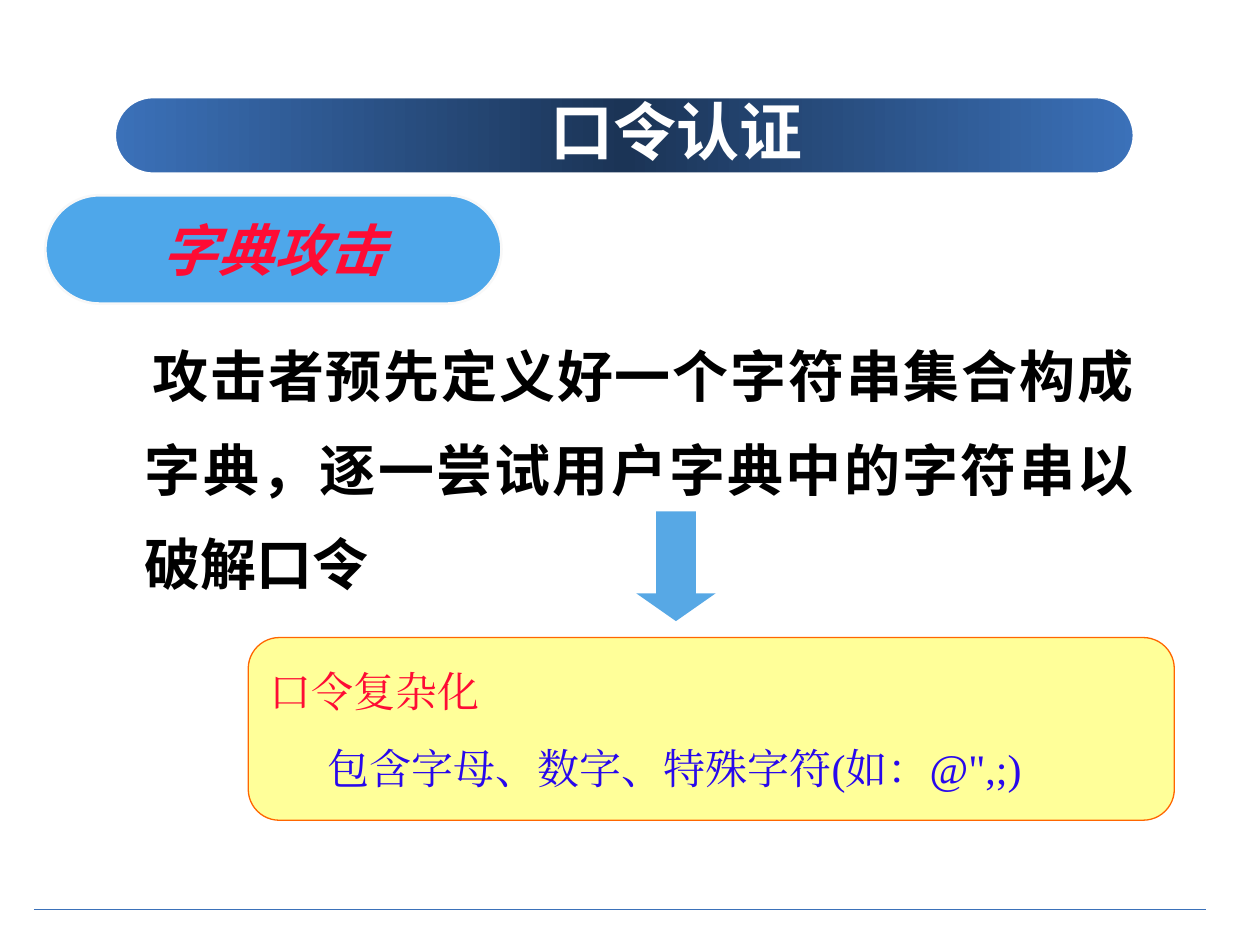
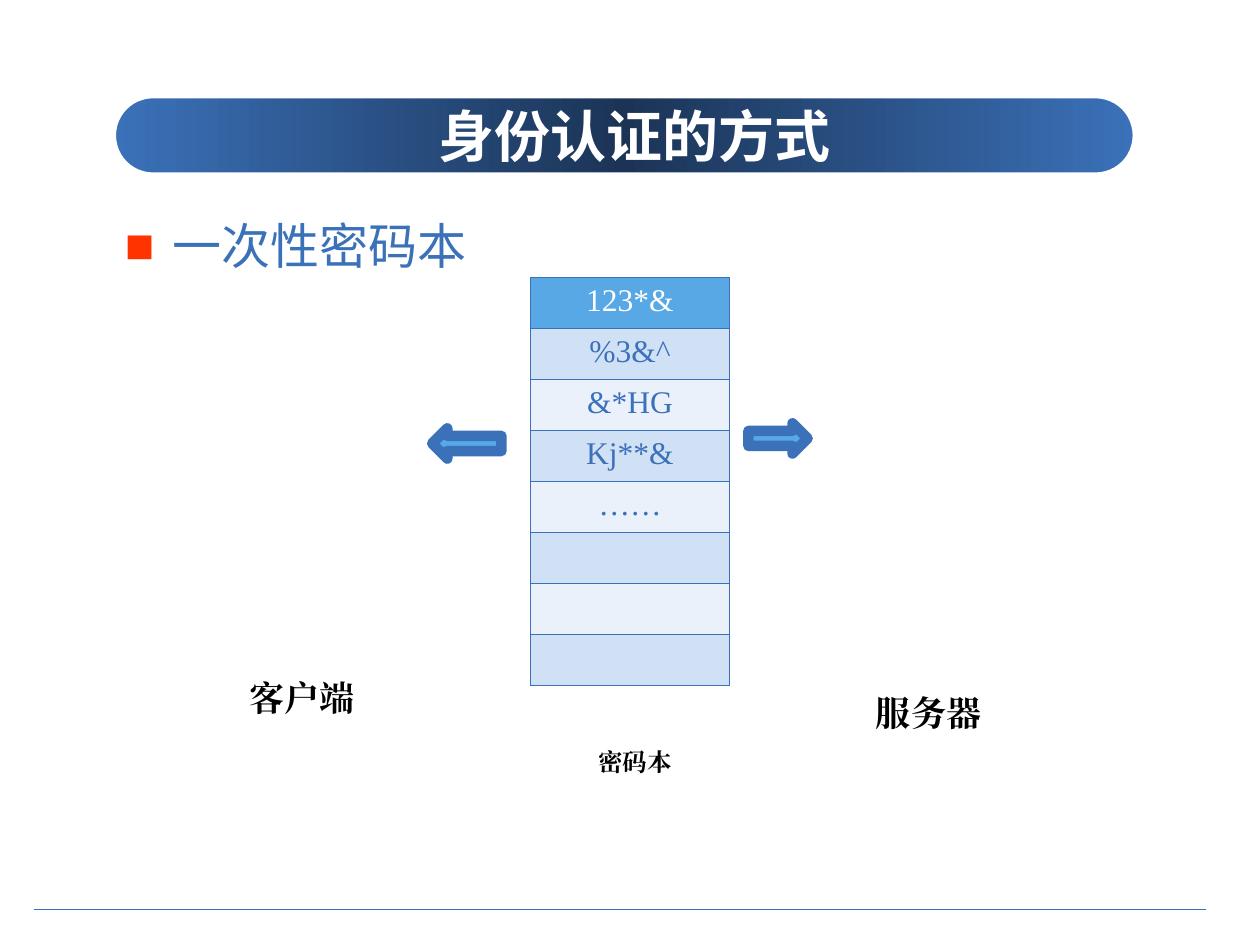
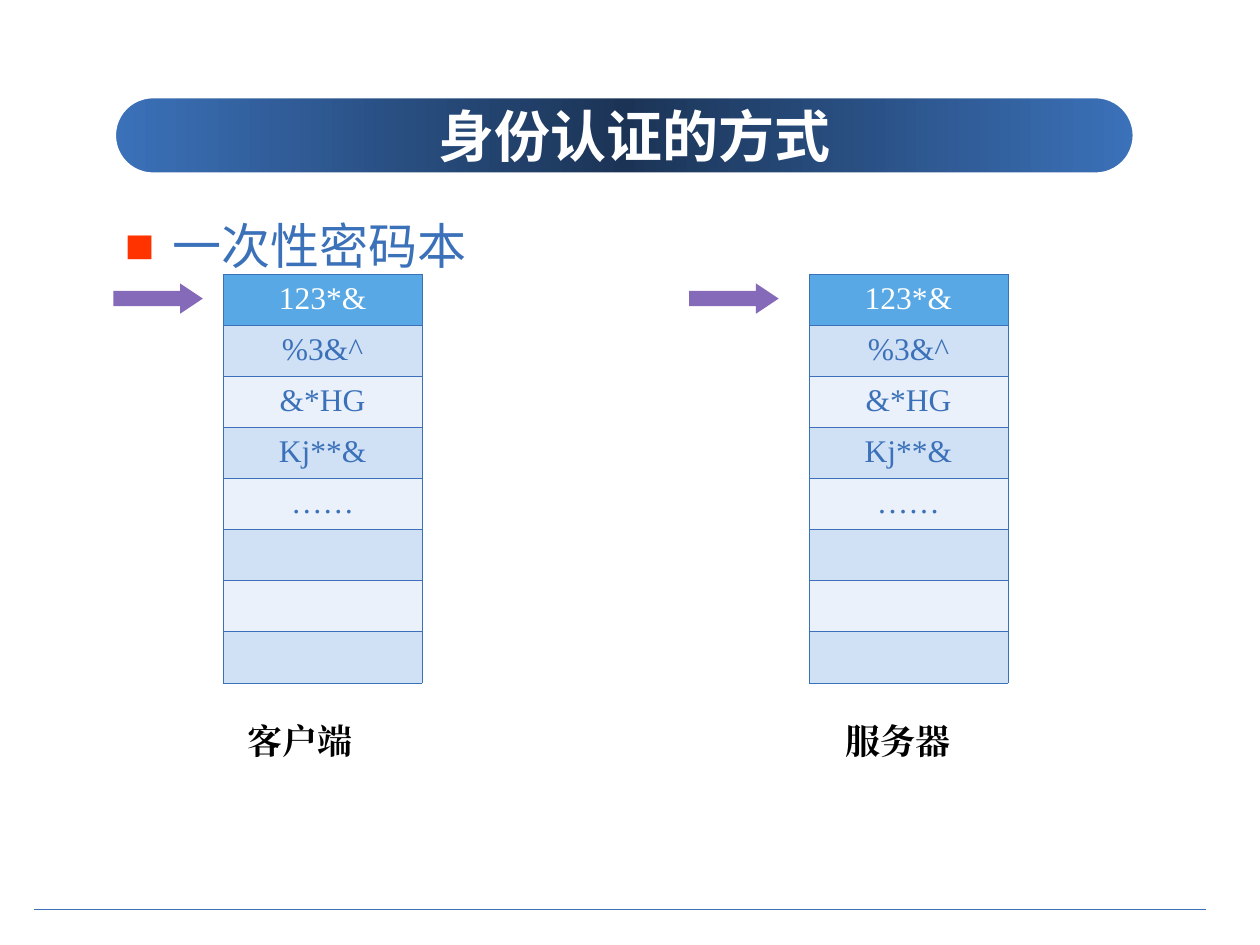
import copy

import lxml.etree
import pptx
import pptx.dml.color
import pptx.enum.shapes
import pptx.enum.text
import pptx.oxml.ns
import pptx.util

MSO = pptx.enum.shapes.MSO_SHAPE
ALIGN = pptx.enum.text.PP_ALIGN
ANCHOR = pptx.enum.text.MSO_ANCHOR
Pt = pptx.util.Pt
qn = pptx.oxml.ns.qn
rgb = pptx.dml.color.RGBColor.from_string

BLUE, NAVY, SKY, RED = "3B71B9", "1B3456", "57A8E5", "FE0C34"
WHITE, BLACK, PURPLE = "FFFFFF", "000000", "846AB8"
STRIPES = ["D1E1F5", "EAF1FA"]
SERIF, SANS = "Times New Roman", "Noto Sans CJK SC"
COLUMNS, ROWS = 100, 75
PASSWORDS = ["123*&", "%3&^", "&*HG", "Kj**&", "……", "", "", ""]

prs = pptx.Presentation()
prs.slide_width, prs.slide_height = pptx.util.Inches(10), pptx.util.Inches(7.5)


def grid(*lengths):
    """Turn x, y, width, height in grid units into EMU."""
    units = [prs.slide_width / COLUMNS, prs.slide_height / ROWS] * 2
    return [pptx.util.Emu(round(n * unit)) for n, unit in zip(lengths, units)]


def write(p, text, size, font, color, bold=False, italic=False, align=ALIGN.CENTER):
    """Fill a paragraph with one run, using the font for Latin and Chinese."""
    p.text = text
    p.alignment = align
    for r in p.runs:
        r.font.size, r.font.name = Pt(size), font
        r.font.bold, r.font.italic = bold, italic
        r.font.color.rgb = rgb(color)
        ea = lxml.etree.Element(qn("a:ea"), typeface=font)
        r.font._element.find(qn("a:latin")).addnext(ea)


# Slides with their titles
titles = [
    ("口令认证", 36, SANS, (14.1, 7.6, 79.2, 5.5)),
    ("身份认证的方式", 32, "DejaVu Sans", (9.8, 8.4, 81.1, 4.7)),
    ("身份认证的方式", 32, "DejaVu Sans", (9.8, 8.4, 81.1, 4.7)),
]
slides = []
for text, size, font, box in titles:
    s = prs.slides.add_slide(prs.slide_layouts[1])
    sp = s.shapes.title
    sp.left, sp.top, sp.width, sp.height = grid(*box)
    sp.text_frame.auto_size = pptx.enum.text.MSO_AUTO_SIZE.NONE
    sp.text_frame.vertical_anchor = ANCHOR.MIDDLE
    write(sp.text_frame.paragraphs[0], text, size, font, WHITE, bold=True)
    slides.append(s)
attack, book, pair = slides

# Title band and footer line, moved to the master
band = attack.shapes.add_shape(MSO.ROUNDED_RECTANGLE, *grid(9, 7.6, 81.1, 6.3))
band.adjustments[0] = 0.5
band.shadow.inherit = False
band.line.color.rgb, band.line.width = rgb(WHITE), Pt(3)
band.fill.gradient()
band.fill.gradient_angle = 0
stops = band.element.find(".//" + qn("a:gsLst"))
stops.append(copy.deepcopy(stops[0]))
for stop, position, color in zip(band.fill.gradient_stops, (0, 0.5, 1), (BLUE, NAVY, BLUE)):
    stop.position, stop.color.rgb = position, rgb(color)

footer = attack.shapes.add_connector(
    pptx.enum.shapes.MSO_CONNECTOR.STRAIGHT, *grid(2.7, 72.2, 95.7, 72.2))
footer.line.color.rgb, footer.line.width = rgb(BLUE), Pt(0.75)
lxml.etree.SubElement(footer.element.spPr, qn("a:effectLst"))

master_tree = prs.slide_master.element.cSld.spTree
for n, sp in enumerate([band, footer]):
    sp.element.find(".//" + qn("p:cNvPr")).set("id", str(100 + n))
    master_tree.insert(2 + n, sp.element)

# Body placeholders: text, size, colour, bold, line pitch, box, left margin, first line, bullet
definition = "攻击者预先定义好一个字符串集合构成字典，逐一尝试用户字典中的字符串以破解口令"
heading = ("一次性密码本", 28, BLUE, False, 50.4, (8.9, 13.9, 85.1, 8), 0.38, -0.38, "■")
bodies = [
    (definition, 32, BLACK, True, 53.7, (6.7, 24.1, 84.3, 25.2), 0.38, 0.06, None),
    heading,
    heading,
]
for s, (text, size, color, bold, pitch, box, margin, first, bullet) in zip(slides, bodies):
    sp = s.placeholders[1]
    sp.left, sp.top, sp.width, sp.height = grid(*box)
    tf = sp.text_frame
    tf.auto_size = pptx.enum.text.MSO_AUTO_SIZE.NONE
    tf.margin_top = pptx.util.Inches(0.09)
    p = tf.paragraphs[0]
    pPr = p._p.get_or_add_pPr()
    pPr.set("marL", str(pptx.util.Inches(margin)))
    pPr.set("indent", str(pptx.util.Inches(first)))
    if bullet:
        clr = lxml.etree.SubElement(pPr, qn("a:buClr"))
        lxml.etree.SubElement(clr, qn("a:srgbClr"), val="FF3300")
        lxml.etree.SubElement(pPr, qn("a:buChar"), char=bullet)
    else:
        lxml.etree.SubElement(pPr, qn("a:buNone"))
    write(p, text, size, SANS, color, bold, align=ALIGN.LEFT if bullet else ALIGN.JUSTIFY)
    p.line_spacing, p.space_before = Pt(pitch), Pt(0)

# Password books
for s, x, y in [(book, 42.1, 22), (pair, 17.7, 21.8), (pair, 64.2, 21.8)]:
    table = s.shapes.add_table(len(PASSWORDS), 1, *grid(x, y, 15.8, 32.4)).table
    table.first_row = table.horz_banding = False
    for n, text in enumerate(PASSWORDS):
        cell = table.cell(n, 0)
        write(cell.text_frame.paragraphs[0], text, 18, SERIF, BLUE if n else WHITE)
        tcPr = cell._tc.get_or_add_tcPr()
        for side in ("lnL", "lnR", "lnT", "lnB"):
            ln = lxml.etree.SubElement(tcPr, qn("a:" + side), w=str(Pt(0.45)))
            fill = lxml.etree.SubElement(ln, qn("a:solidFill"))
            lxml.etree.SubElement(fill, qn("a:srgbClr"), val=BLUE)
        cell.fill.solid()
        cell.fill.fore_color.rgb = rgb(STRIPES[(n - 1) % 2] if n else SKY)

# Filled shapes: slide, preset, box, adjustments, fill, line, line width
shapes = [
    (attack, MSO.ROUNDED_RECTANGLE, (3.6, 15.5, 36.2, 8.6), [0.5], "4EA7EA", "F8F8F8", 1.5),
    (attack, MSO.DOWN_ARROW, (50.5, 40.6, 6.3, 8.7), [0.5, 0.35], SKY, None, 0),
    (attack, MSO.ROUNDED_RECTANGLE, (19.7, 50.6, 73.5, 14.5), [0.17], "FFFF99", "FF6600", 0.75),
    (book, MSO.RIGHT_ARROW, (59.4, 33.6, 4.7, 2.4), [0.5, 0.5], SKY, BLUE, 6),
    (book, MSO.LEFT_ARROW, (34.3, 34, 5.5, 2.4), [0.5, 0.5], SKY, BLUE, 6),
    (pair, MSO.RIGHT_ARROW, (9, 22.5, 7.1, 2.4), [0.5, 0.75], PURPLE, None, 0),
    (pair, MSO.RIGHT_ARROW, (54.7, 22.5, 7.1, 2.4), [0.5, 0.75], PURPLE, None, 0),
]
drawn = []
for s, preset, box, adjustments, fill, line, width in shapes:
    sp = s.shapes.add_shape(preset, *grid(*box))
    sp.shadow.inherit = False
    for n, value in enumerate(adjustments):
        sp.adjustments[n] = value
    sp.fill.solid()
    sp.fill.fore_color.rgb = rgb(fill)
    if line:
        sp.line.color.rgb, sp.line.width = rgb(line), Pt(width)
    else:
        sp.line.fill.background()
    drawn.append(sp)

pill, _, advice = drawn[:3]
write(pill.text_frame.paragraphs[0], "字典攻击", 32, "Lato", RED, bold=True, italic=True)

tf = advice.text_frame
tf.word_wrap = True
tf.vertical_anchor = ANCHOR.MIDDLE
write(tf.paragraphs[0], "口令复杂化", 24, SERIF, RED, align=ALIGN.LEFT)
p = tf.add_paragraph()
p._p.get_or_add_pPr().set("marL", str(pptx.util.Inches(0.46)))
write(p, "包含字母、数字、特殊字符(如：@\",;)", 24, SERIF, "2808EC", align=ALIGN.LEFT)
p.space_before = Pt(15)

# Captions
captions = [
    (book, "客户端", 20, (11.4, 53.2, 25.2, 4.4)),
    (book, "服务器", 20, (61.1, 54.4, 25.2, 4.4)),
    (book, "密码本", 14, (42.9, 58.8, 15, 3.4)),
    (pair, "客户端", 20, (11.2, 56.6, 25.2, 4.4)),
    (pair, "服务器", 20, (58.7, 56.6, 25.2, 4.4)),
]
for s, text, size, box in captions:
    tf = s.shapes.add_textbox(*grid(*box)).text_frame
    tf.word_wrap = True
    write(tf.paragraphs[0], text, size, SERIF, BLACK, bold=True)

prs.save("out.pptx")
